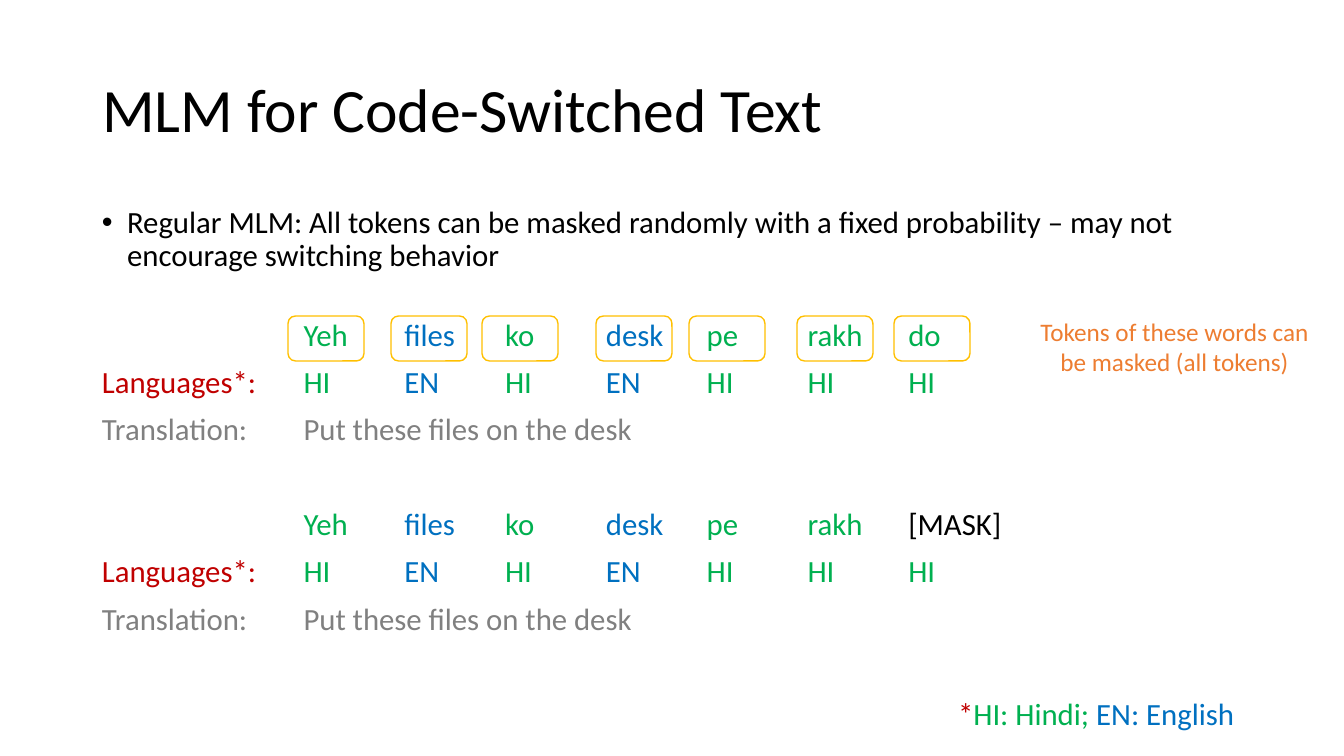
from lxml.etree import SubElement
from pptx import Presentation
from pptx.dml.color import RGBColor
from pptx.enum.shapes import MSO_SHAPE
from pptx.enum.text import MSO_ANCHOR, PP_ALIGN
from pptx.oxml.ns import qn
from pptx.util import Emu, Pt

EMU_PER_PX = 914400 / 100.8
FONT = "Calibri"
BLACK = RGBColor(0, 0, 0)
GREEN = RGBColor(0x00, 0xB0, 0x50)
BLUE = RGBColor(0x00, 0x70, 0xC0)
RED = RGBColor(0xC0, 0x00, 0x00)
GRAY = RGBColor(0x80, 0x80, 0x80)
AMBER = RGBColor(0xFF, 0xC0, 0x00)
ORANGE = RGBColor(0xED, 0x7D, 0x31)

LANGUAGE_COLORS = {"HI": GREEN, "EN": BLUE}
WORDS = ["Yeh", "files", "ko", "desk", "pe", "rakh", "do"]
LANGUAGES = ["HI", "EN", "HI", "EN", "HI", "HI", "HI"]
MASK = "[MASK]"
WORD_FRAME_LEFTS = [288, 391, 482, 596, 689, 797, 894]
TAB_STOPS = [914400 * inch for inch in range(2, 9)]


def px(length):
    """Turn pixels into EMU."""
    return Emu(round(length * EMU_PER_PX))


def add_text_frame(slide, left, top, width, height):
    """Add a wrapping text box and return its text frame."""
    frame = slide.shapes.add_textbox(px(left), px(top), px(width), px(height)).text_frame
    frame.word_wrap = True
    return frame


def style_paragraph(paragraph, size, color, align=PP_ALIGN.LEFT, line_spacing=0.9):
    """Set the font, alignment and line spacing of a paragraph."""
    paragraph.alignment = align
    paragraph.line_spacing = line_spacing
    paragraph.font.name = FONT
    paragraph.font.size = Pt(size)
    paragraph.font.color.rgb = color


def add_bullet(paragraph):
    """Give a paragraph a hanging round bullet."""
    properties = paragraph._p.get_or_add_pPr()
    properties.set("marL", "228600")
    properties.set("indent", "-228600")
    SubElement(properties, qn("a:buFont"), typeface="Arial")
    SubElement(properties, qn("a:buChar"), char="•")


def add_tab_stops(paragraph):
    """Line up the word columns with tab stops."""
    tabs = SubElement(paragraph._p.get_or_add_pPr(), qn("a:tabLst"))
    for position in TAB_STOPS:
        SubElement(tabs, qn("a:tab"), pos=str(position), algn="l")


def add_colored_runs(paragraph, parts):
    """Add one run for each pair of text and colour."""
    for text, color in parts:
        run = paragraph.add_run()
        run.text = text
        run.font.color.rgb = color


def add_row(frame, parts, space_before=10):
    """Add a tabbed row of coloured parts."""
    row = frame.add_paragraph()
    add_tab_stops(row)
    style_paragraph(row, 22, BLACK)
    row.space_before = Pt(space_before)
    add_colored_runs(row, parts)


def add_gloss(frame, words, space_before):
    """Add a sentence with its language tags and translation."""
    tagged = list(zip(words, LANGUAGES))
    word_cells = [("\t" + word, BLACK if word == MASK else LANGUAGE_COLORS[language])
                  for word, language in tagged]
    tag_cells = [("\t" + language, LANGUAGE_COLORS[language]) for language in LANGUAGES]
    add_row(frame, word_cells, space_before)
    add_row(frame, [("Languages*:", RED)] + tag_cells)
    add_row(frame, [("Translation:\tPut these files on the desk", GRAY)])


def add_title(slide, text):
    """Place and format the slide title."""
    title = slide.shapes.title
    title.left, title.top, title.width, title.height = px(92), px(40), px(1159), px(146)
    title.text_frame.text = text
    title.text_frame.vertical_anchor = MSO_ANCHOR.MIDDLE
    style_paragraph(title.text_frame.paragraphs[0], 44, BLACK)


def add_body(slide):
    """Add the bullet, both glossed sentences and the language key."""
    frame = add_text_frame(slide, 92, 202, 1159, 480)
    bullet = frame.paragraphs[0]
    add_bullet(bullet)
    style_paragraph(bullet, 22, BLACK)
    bullet.add_run().text = ("Regular MLM: All tokens can be masked randomly with a fixed "
                             "probability – may not encourage switching behavior")
    add_gloss(frame, WORDS, 33)
    add_gloss(frame, WORDS[:-1] + [MASK], 44)
    key = frame.add_paragraph()
    style_paragraph(key, 22, BLACK, PP_ALIGN.RIGHT)
    key.space_before = Pt(44)
    add_colored_runs(key, [("*", RED), ("HI: Hindi; ", GREEN), ("EN: English ", BLUE)])


def add_word_frame(slide, left):
    """Outline one maskable word."""
    outline = slide.shapes.add_shape(
        MSO_SHAPE.ROUNDED_RECTANGLE, px(left), px(316), px(76), px(45))
    outline.shadow.inherit = False
    outline.fill.background()
    outline.line.color.rgb = AMBER
    outline.line.width = Pt(1)


def add_mask_note(slide):
    """Add the remark beside the outlined words."""
    note = add_text_frame(slide, 1015, 311, 319, 72).paragraphs[0]
    style_paragraph(note, 18, ORANGE, PP_ALIGN.CENTER, 1.0)
    note.add_run().text = "Tokens of these words can be masked (all tokens)"


def main():
    """Build and save the slide."""
    presentation = Presentation()
    presentation.slide_width, presentation.slide_height = px(1344), px(756)
    slide = presentation.slides.add_slide(presentation.slide_layouts[5])
    add_title(slide, "MLM for Code-Switched Text")
    add_body(slide)
    for left in WORD_FRAME_LEFTS:
        add_word_frame(slide, left)
    add_mask_note(slide)
    presentation.save("out.pptx")


if __name__ == "__main__":
    main()
